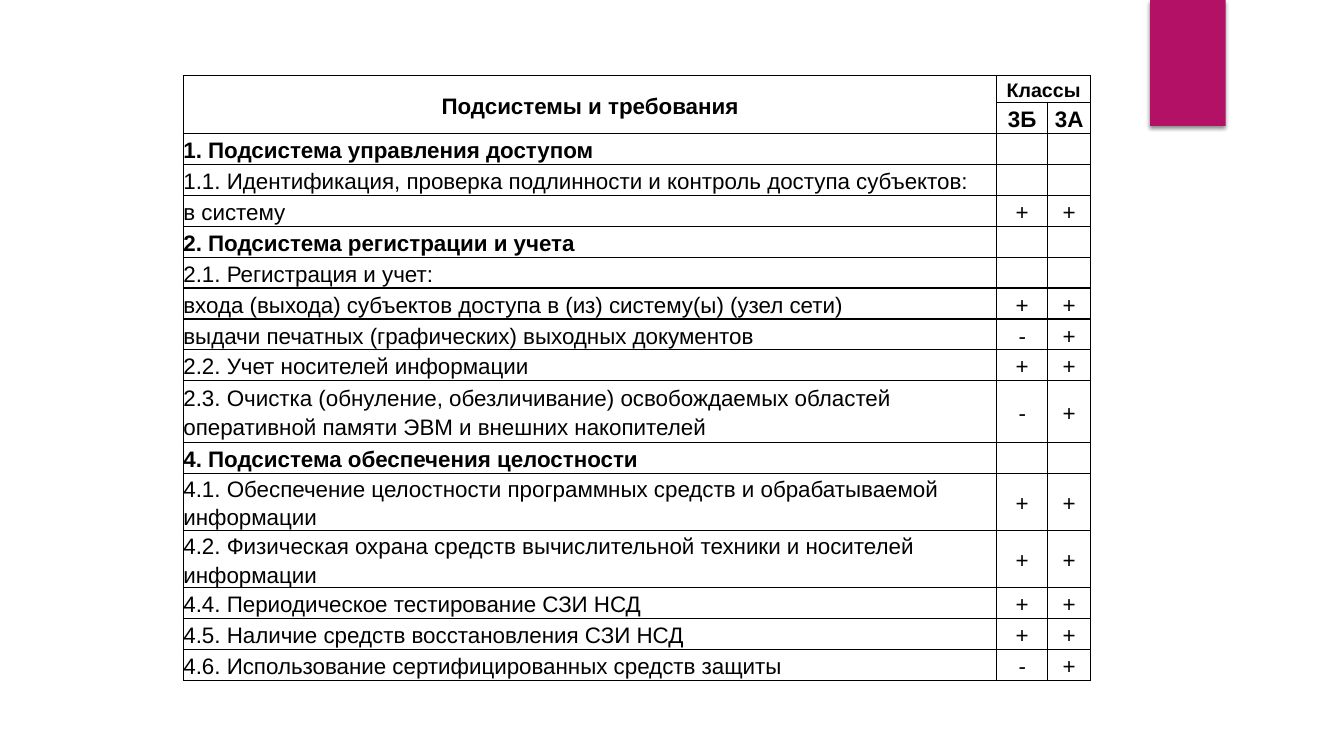
from lxml.etree import SubElement
from pptx import Presentation
from pptx.dml.color import RGBColor
from pptx.enum.shapes import MSO_SHAPE
from pptx.enum.text import MSO_ANCHOR, PP_ALIGN
from pptx.oxml.ns import qn
from pptx.util import Pt

# Content: requirement, class 3Б, class 3А
HEADER = [("Подсистемы и требования", "Классы", ""), ("", "3Б", "3А")]
REQUIREMENTS = [
    ("1. Подсистема управления доступом", "", ""),
    ("1.1. Идентификация, проверка подлинности и контроль доступа субъектов:", "", ""),
    ("в систему", "+", "+"),
    ("2. Подсистема регистрации и учета", "", ""),
    ("2.1. Регистрация и учет:", "", ""),
    ("входа (выхода) субъектов доступа в (из) систему(ы) (узел сети)", "+", "+"),
    ("выдачи печатных (графических) выходных документов", "-", "+"),
    ("2.2. Учет носителей информации", "+", "+"),
    ("2.3. Очистка (обнуление, обезличивание) освобождаемых областей "
     "оперативной памяти ЭВМ и внешних накопителей", "-", "+"),
    ("4. Подсистема обеспечения целостности", "", ""),
    ("4.1. Обеспечение целостности программных средств и обрабатываемой информации", "+", "+"),
    ("4.2. Физическая охрана средств вычислительной техники и носителей информации", "+", "+"),
    ("4.4. Периодическое тестирование СЗИ НСД", "+", "+"),
    ("4.5. Наличие средств восстановления СЗИ НСД", "+", "+"),
    ("4.6. Использование сертифицированных средств защиты", "-", "+"),
]
ROWS = HEADER + REQUIREMENTS
SECTION_TITLES = {"1. Подсистема управления доступом",
                  "2. Подсистема регистрации и учета",
                  "4. Подсистема обеспечения целостности"}

# Layout and colours
COLUMN_WIDTHS = [581, 36.4, 30.6]
ROW_HEIGHT = 22.1
SPECIAL_HEIGHTS = {0: 19.3, 10: 44, 12: 40.7, 13: 40.7}
TABLE_LEFT, TABLE_TOP = 131, 54
BLACK = RGBColor(0x00, 0x00, 0x00)
MAGENTA = RGBColor(0xB3, 0x11, 0x66)
CELL_FORMAT = {"margin_left": 0, "margin_right": 0, "margin_top": 0,
               "margin_bottom": 0, "vertical_anchor": MSO_ANCHOR.MIDDLE}


def apply_format(target, values):
    for name, value in values.items():
        setattr(target, name, value)


def add_borders(cell):
    properties = cell._tc.get_or_add_tcPr()
    for side in ("a:lnL", "a:lnR", "a:lnT", "a:lnB"):
        line = SubElement(properties, qn(side), w=str(Pt(1)))
        fill = SubElement(line, qn("a:solidFill"))
        SubElement(fill, qn("a:srgbClr"), val=str(BLACK))


def write_cell(cell, text, size, bold, align):
    para = cell.text_frame.paragraphs[0]
    apply_format(para, {"alignment": align, "line_spacing": 1.15})
    span = para.add_run()
    span.text = text
    apply_format(span.font, {"name": "Arial", "size": Pt(size), "bold": bold})
    span.font.color.rgb = BLACK


deck = Presentation()
apply_format(deck, {"slide_width": Pt(960), "slide_height": Pt(540)})
page = deck.slides.add_slide(deck.slide_layouts[6])

# Corner tab with a soft shadow
tab = page.shapes.add_shape(MSO_SHAPE.RECTANGLE, Pt(821.5), Pt(0), Pt(54), Pt(90))
tab.fill.solid()
tab.fill.fore_color.rgb = MAGENTA
tab.line.fill.background()
tab.shadow.inherit = False
effects = tab._element.spPr.find(qn("a:effectLst"))
shadow = SubElement(effects, qn("a:outerShdw"), blurRad=str(Pt(3)), dist=str(Pt(2)),
                    dir="5400000", rotWithShape="0")
shade = SubElement(shadow, qn("a:srgbClr"), val=str(BLACK))
SubElement(shade, qn("a:alpha"), val="45000")

# Table frame
heights = [SPECIAL_HEIGHTS.get(index, ROW_HEIGHT) for index in range(len(ROWS))]
table = page.shapes.add_table(len(ROWS), len(COLUMN_WIDTHS), Pt(TABLE_LEFT), Pt(TABLE_TOP),
                              Pt(sum(COLUMN_WIDTHS)), Pt(sum(heights))).table
apply_format(table, {"first_row": False, "horz_banding": False})
for column, width in zip(table.columns, COLUMN_WIDTHS):
    column.width = Pt(width)
for row, height in zip(table.rows, heights):
    row.height = Pt(height)
table.cell(0, 0).merge(table.cell(1, 0))
table.cell(0, 1).merge(table.cell(0, 2))

# Table cells
for row_index, texts in enumerate(ROWS):
    is_header = row_index < len(HEADER)
    for column_index, text in enumerate(texts):
        cell = table.cell(row_index, column_index)
        apply_format(cell, CELL_FORMAT)
        add_borders(cell)
        cell.fill.background()
        if text:
            centred = is_header or column_index > 0
            write_cell(cell, text, 14 if text == "Классы" else 16,
                       is_header or text in SECTION_TITLES,
                       PP_ALIGN.CENTER if centred else PP_ALIGN.LEFT)

deck.save("out.pptx")
